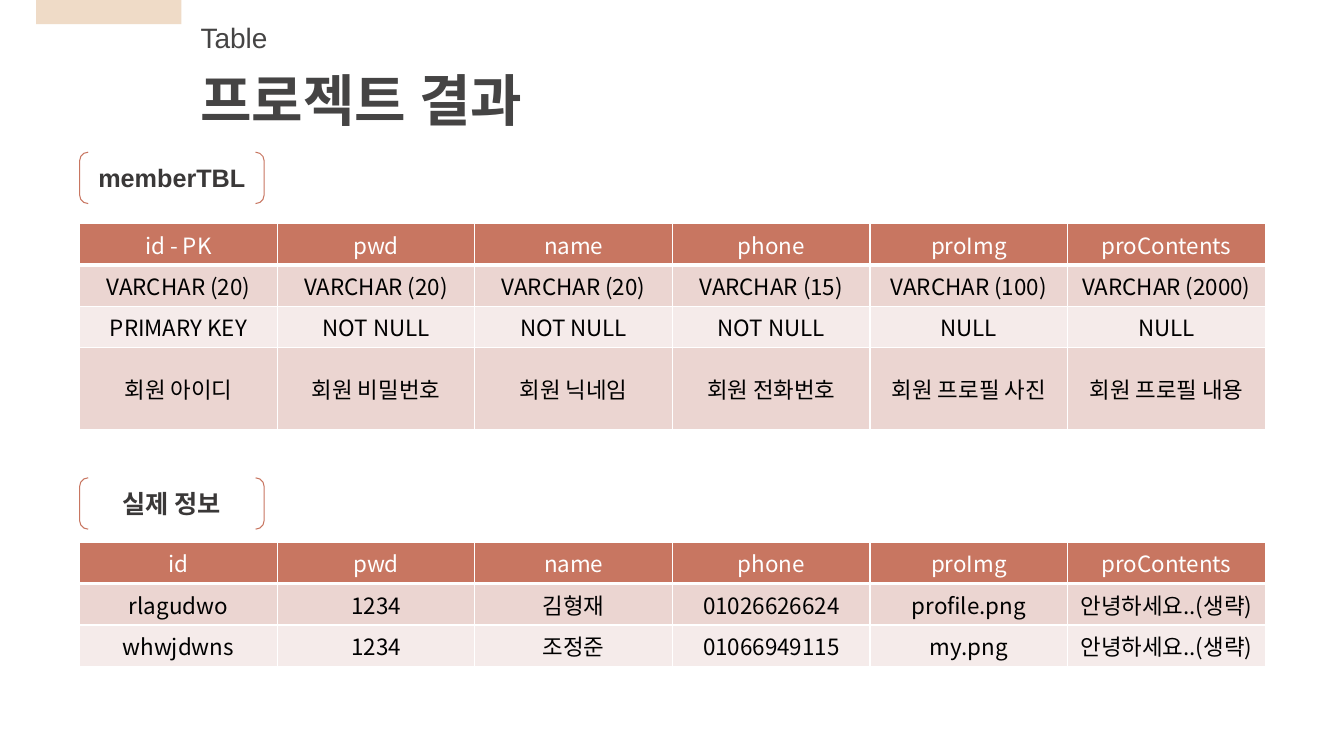
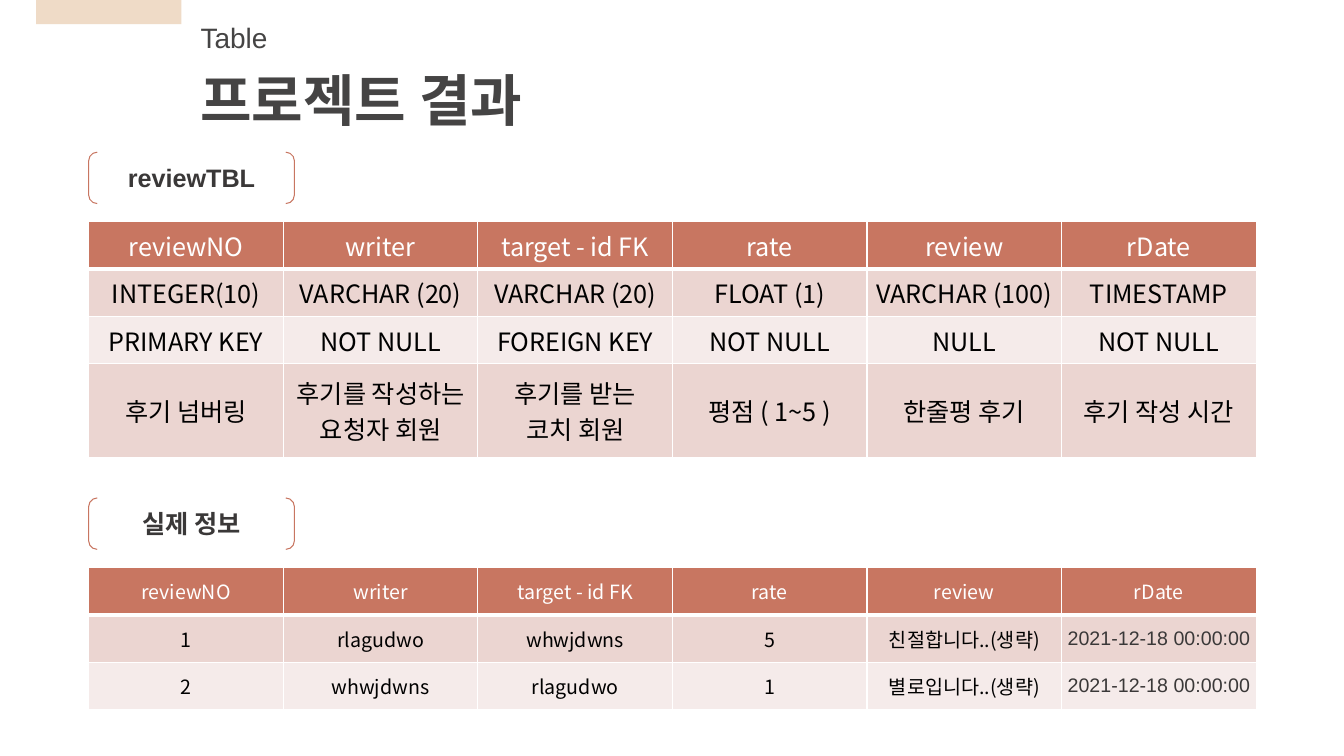
from lxml import etree
from pptx import Presentation, util as u
from pptx.dml.color import RGBColor
from pptx.enum import shapes, text
from pptx.oxml.ns import qn

Inches, Pt = u.Inches, u.Pt
COLORS = {"tab": "EFDBC7", "title": "454444", "label": "3A3838", "accent": "C87661",
          "band": "EBD5D1", "light": "F5EBEA", "white": "FFFFFF", "black": "000000"}
LATIN, KOREAN = "Arial", "Noto Sans CJK KR"
KICKER, TITLE = "Table", "프로젝트 결과"
LABEL_HEIGHT = 0.51

MEMBER_COLUMNS = ["pwd", "name", "phone", "proImg", "proContents"]
REVIEW_COLUMNS = ["reviewNO", "writer", "target - id FK", "rate", "review", "rDate"]

SLIDES = [
    {"left": 0.79, "label_width": 1.83, "column_width": 1.96, "sections": [
        {"label": "memberTBL", "label_top": 1.51, "top": 2.22, "size": 16,
         "heights": [0.41, 0.41, 0.41, 0.81],
         "rows": [
             ["id - PK"] + MEMBER_COLUMNS,
             ["VARCHAR (20)", "VARCHAR (20)", "VARCHAR (20)", "VARCHAR (15)",
              "VARCHAR (100)", "VARCHAR (2000)"],
             ["PRIMARY KEY", "NOT NULL", "NOT NULL", "NOT NULL", "NULL", "NULL"],
             ["회원 아이디", "회원 비밀번호", "회원 닉네임", "회원 전화번호",
              "회원 프로필 사진", "회원 프로필 내용"]]},
        {"label": "실제 정보", "label_top": 4.74, "top": 5.38, "size": 16,
         "heights": [0.41] * 3,
         "rows": [
             ["id"] + MEMBER_COLUMNS,
             ["rlagudwo", "1234", "김형재", "01026626624", "profile.png",
              "안녕하세요..(생략)"],
             ["whwjdwns", "1234", "조정준", "01066949115", "my.png",
              "안녕하세요..(생략)"]]},
    ]},
    {"left": 0.88, "label_width": 2.04, "column_width": 1.93, "sections": [
        {"label": "reviewTBL", "label_top": 1.51, "top": 2.2, "size": 18,
         "heights": [0.47, 0.47, 0.47, 0.93],
         "rows": [
             REVIEW_COLUMNS,
             ["INTEGER(10)", "VARCHAR (20)", "VARCHAR (20)", "FLOAT (1)",
              "VARCHAR (100)", "TIMESTAMP"],
             ["PRIMARY KEY", "NOT NULL", "FOREIGN KEY", "NOT NULL", "NULL", "NOT NULL"],
             ["후기 넘버링", "후기를 작성하는 요청자 회원", "후기를 받는\n코치 회원",
              "평점 ( 1~5 )", "한줄평 후기", "후기 작성 시간"]]},
        {"label": "실제 정보", "label_top": 4.94, "top": 5.63, "size": 14,
         "heights": [0.47] * 3, "date_column": 5,
         "rows": [
             REVIEW_COLUMNS,
             ["1", "rlagudwo", "whwjdwns", "5", "친절합니다..(생략)", "2021-12-18 00:00:00"],
             ["2", "whwjdwns", "rlagudwo", "1", "별로입니다..(생략)", "2021-12-18 00:00:00"]]},
    ]},
]


def rgb(color):
    return RGBColor.from_string(COLORS[color])


def write(tf, content, color, size, name=LATIN, bold=False, align=None):
    """Fill a text frame, one paragraph per line of content."""
    tf.text = content
    for p in tf.paragraphs:
        p.alignment = align
        for r in p.runs:
            for key, value in {"size": Pt(size), "bold": bold, "name": name}.items():
                setattr(r.font, key, value)
            r.font.color.rgb = rgb(color)
            latin = r.font._element.find(qn("a:latin"))
            east_asian = etree.Element(qn("a:ea"), typeface=KOREAN)
            latin.addnext(east_asian)


def add_text(slide, box, content, size, bold=False):
    tf = slide.shapes.add_textbox(*map(Inches, box)).text_frame
    tf.word_wrap = True
    tf.auto_size = text.MSO_AUTO_SIZE.SHAPE_TO_FIT_TEXT
    write(tf, content, "title", size, bold=bold)


def add_header(slide):
    sp = slide.shapes.add_shape(shapes.MSO_SHAPE.RECTANGLE,
                                *map(Inches, (0.36, 0, 1.44, 0.24)))
    sp.shadow.inherit = False
    sp.fill.solid()
    sp.fill.fore_color.rgb = rgb("tab")
    sp.line.fill.background()
    add_text(slide, (1.89, 0.15, 1.29, 0.44), KICKER, 20)
    add_text(slide, (1.89, 0.6, 4.35, 0.77), TITLE, 40, bold=True)


def add_label(slide, left, top, width, content):
    sp = slide.shapes.add_shape(shapes.MSO_SHAPE.DOUBLE_BRACKET,
                                *map(Inches, (left, top, width, LABEL_HEIGHT)))
    sp.shadow.inherit = False
    sp.fill.background()
    sp.line.color.rgb = rgb("accent")
    sp.line.width = Pt(0.75)
    sp.text_frame.vertical_anchor = text.MSO_ANCHOR.MIDDLE
    write(sp.text_frame, content, "label", 18, bold=True, align=text.PP_ALIGN.CENTER)


def set_borders(cell, widths):
    """Draw white cell borders; widths maps side (L, R, T, B) to points."""
    props = cell._tc.get_or_add_tcPr()
    for side, width in widths.items():
        line = etree.SubElement(props, qn(f"a:ln{side}"), w=str(Pt(width)))
        fill = etree.SubElement(line, qn("a:solidFill"))
        etree.SubElement(fill, qn("a:srgbClr"), val=COLORS["white"])


def add_section_table(slide, left, column_width, section):
    rows, heights = section["rows"], section["heights"]
    columns = len(rows[0])
    table = slide.shapes.add_table(
        len(rows), columns, Inches(left), Inches(section["top"]),
        Inches(column_width * columns), Inches(sum(heights))).table
    for column in table.columns:
        column.width = Inches(column_width)
    for i, (values, height) in enumerate(zip(rows, heights)):
        table.rows[i].height = Inches(height)
        fill = "accent" if i == 0 else "band" if i % 2 else "light"
        for j, value in enumerate(values):
            cell = table.cell(i, j)
            is_date = i > 0 and j == section.get("date_column")
            margin = Inches(0 if is_date else 0.02)
            layout = {"margin_left": Inches(0.03), "margin_right": Inches(0.03),
                      "margin_top": margin, "margin_bottom": margin,
                      "vertical_anchor": text.MSO_ANCHOR.MIDDLE}
            for key, setting in layout.items():
                setattr(cell, key, setting)
            set_borders(cell, {"L": 1, "R": 1, "T": 3 if i == 1 else 1,
                               "B": 3 if i == 0 else 1})
            cell.fill.solid()
            cell.fill.fore_color.rgb = rgb(fill)
            color = "white" if i == 0 else "label" if is_date else "black"
            write(cell.text_frame, value, color, section["size"],
                  name=LATIN if is_date else KOREAN, align=text.PP_ALIGN.CENTER)


def main():
    prs = Presentation()
    prs.slide_width, prs.slide_height = Inches(13.33), Inches(7.5)
    for page in SLIDES:
        slide = prs.slides.add_slide(prs.slide_layouts[6])
        add_header(slide)
        for section in page["sections"]:
            add_label(slide, page["left"], section["label_top"], page["label_width"],
                      section["label"])
            add_section_table(slide, page["left"], page["column_width"], section)
    prs.save("out.pptx")


if __name__ == "__main__":
    main()
